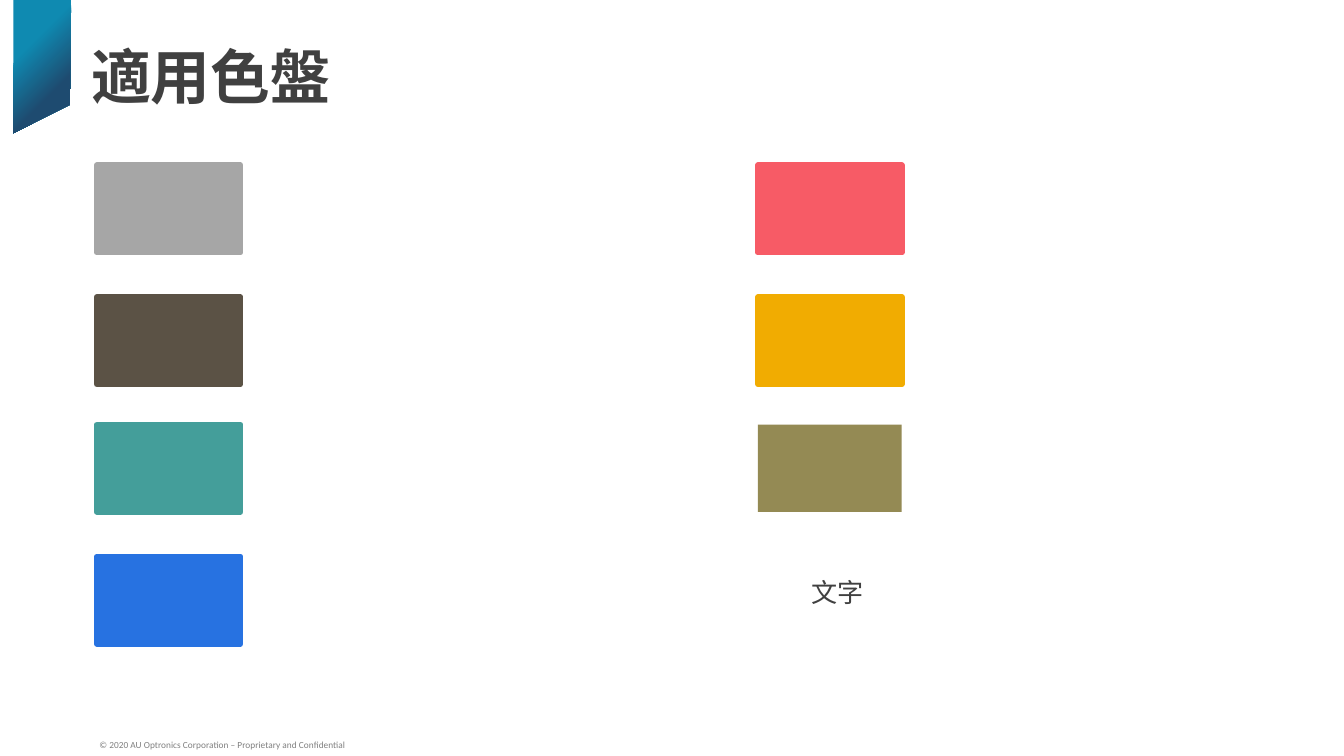
import pptx
import pptx.util
import pptx.dml.color
import pptx.enum.shapes
import pptx.enum.text

Inches = pptx.util.Inches
Pt = pptx.util.Pt
RGBColor = pptx.dml.color.RGBColor

DARK_TEXT = RGBColor(0x40, 0x40, 0x40)
FOOTER_GRAY = RGBColor(0x80, 0x80, 0x80)
RIBBON_LIGHT = RGBColor(0x0F, 0x8A, 0xB1)
RIBBON_DARK = RGBColor(0x1E, 0x4B, 0x70)
GRAY = RGBColor(0xA6, 0xA6, 0xA6)
BROWN = RGBColor(0x5B, 0x52, 0x45)
TEAL = RGBColor(0x44, 0x9E, 0x9A)
BLUE = RGBColor(0x27, 0x72, 0xE1)
CORAL = RGBColor(0xF7, 0x5B, 0x66)
AMBER = RGBColor(0xF1, 0xAC, 0x01)
OLIVE = RGBColor(0x94, 0x8A, 0x54)

# Widescreen page, 16:9
deck = pptx.Presentation()
deck.slide_width = Inches(10)
deck.slide_height = Inches(10) * 9 // 16
page = deck.slides.add_slide(deck.slide_layouts[6])


def add_text(text, left, top, width, height, size, color, bold=False, wrap=True):
    box = page.shapes.add_textbox(Inches(left), Inches(top), Inches(width), Inches(height))
    box.text_frame.word_wrap = wrap
    para = box.text_frame.paragraphs[0]
    para.text = text
    para.font.name = "Calibri"
    para.font.size = Pt(size)
    para.font.bold = bold
    para.font.color.rgb = color
    return box.text_frame


# Corner ribbon
outline = page.shapes.build_freeform(Inches(0.1), Inches(0))
outline.add_line_segments(
    [(Inches(x), Inches(y)) for x, y in [(0.53, 0), (0.52, 0.78), (0.1, 0.99)]]
)
ribbon = outline.convert_to_shape()
ribbon.shadow.inherit = False
ribbon.line.fill.background()
ribbon.fill.gradient()
ribbon.fill.gradient_angle = 315
for stop, position, color in zip(
    ribbon.fill.gradient_stops, (0.32, 0.7), (RIBBON_LIGHT, RIBBON_DARK)
):
    stop.position = position
    stop.color.rgb = color

# Footer and title
footer = add_text("© 2020 AU Optronics Corporation – Proprietary and Confidential",
                  0.66, 5.45, 3.75, 0.18, 5, FOOTER_GRAY)
footer.vertical_anchor = pptx.enum.text.MSO_ANCHOR.BOTTOM
footer.margin_left = footer.margin_right = Inches(0.08)
footer.paragraphs[0].line_spacing = 0.8

add_text("適用色盤", 0.58, 0.25, 8.06, 1.28, 32, DARK_TEXT, bold=True)

# Color swatches in two columns
row_tops = [1.23, 2.21, 3.16, 4.14]
columns = [(0.72, [GRAY, BROWN, TEAL, BLUE]), (5.64, [CORAL, AMBER, OLIVE])]
for left, colors in columns:
    for top, color in zip(row_tops, colors):
        swatch = page.shapes.add_shape(
            pptx.enum.shapes.MSO_SHAPE.RECTANGLE,
            Inches(left), Inches(top), Inches(1.07), Inches(0.65),
        )
        swatch.shadow.inherit = False
        swatch.fill.solid()
        swatch.fill.fore_color.rgb = color
        if color == OLIVE:
            swatch.line.fill.background()
        else:
            swatch.line.color.rgb = color
            swatch.line.width = Pt(3)

# Text color sample
sample = add_text("文字", 5.94, 4.24, 0.59, 0.34, 14, DARK_TEXT, wrap=False)
sample.auto_size = pptx.enum.text.MSO_AUTO_SIZE.SHAPE_TO_FIT_TEXT

deck.save("out.pptx")
